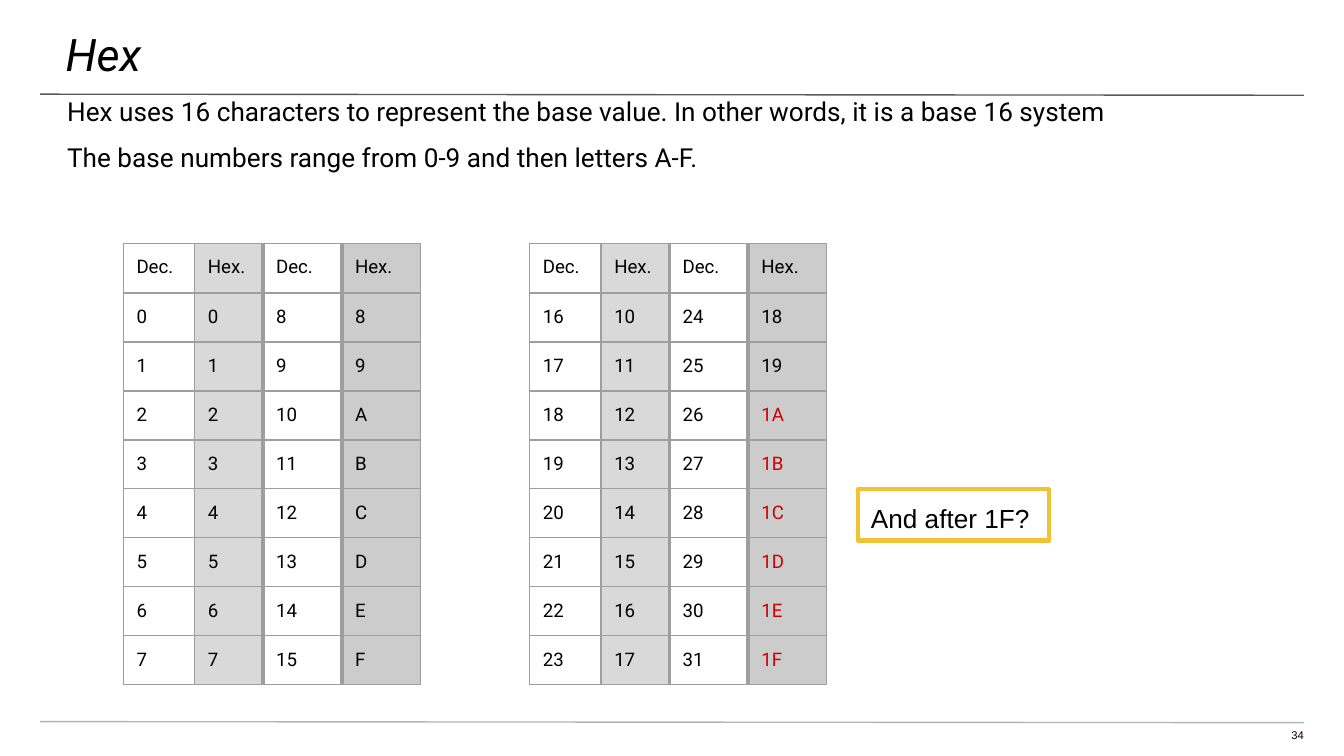
from dataclasses import dataclass

from lxml.etree import SubElement
from pptx import Presentation
from pptx.dml.color import RGBColor
from pptx.enum.shapes import MSO_CONNECTOR, MSO_SHAPE
from pptx.enum.text import MSO_ANCHOR, PP_ALIGN
from pptx.oxml.ns import qn
from pptx.util import Cm, Pt


@dataclass(frozen=True)
class Theme:
    ink: str = "000000"
    red: str = "CC0000"
    gold: str = "F1C232"
    rule: str = "595959"
    foot: str = "A9B7C0"
    grid: str = "9E9E9E"
    fills: tuple = (None, "D9D9D9", None, "CCCCCC")
    sans: str = "Roboto"
    plain: str = "Arial"
    head: int = 24
    body: int = 14
    cell: int = 10
    page: int = 6
    thin: float = 0.75
    thick: float = 2.25


THEME = Theme()
COLS = (1.35, 1.29, 1.49, 1.48)
ROWS = (0.94,) + (0.92,) * 8


def color(code):
    return RGBColor.from_string(code)


def style(para, size, face=THEME.sans, ink=THEME.ink, slant=False):
    for run in para.runs:
        run.font.size = Pt(size)
        run.font.name = face
        run.font.color.rgb = color(ink)
        run.font.italic = slant


def inset(frame, left, top, right, bottom):
    frame.margin_left, frame.margin_top = Cm(left), Cm(top)
    frame.margin_right, frame.margin_bottom = Cm(right), Cm(bottom)


def add_text(slide, area, pads, text, size, **looks):
    box = slide.shapes.add_textbox(*map(Cm, area))
    frame = box.text_frame
    frame.word_wrap = True
    frame.vertical_anchor = MSO_ANCHOR.TOP
    inset(frame, *pads)
    frame.text = text
    for para in frame.paragraphs:
        style(para, size, **looks)
    return frame


def add_rule(slide, top, ink):
    line = slide.shapes.add_connector(
        MSO_CONNECTOR.STRAIGHT, Cm(0.76), Cm(top), Cm(24.64), Cm(top + 0.02))
    line.line.color.rgb = color(ink)
    line.line.width = Pt(THEME.thin)
    SubElement(line._element.spPr, qn("a:effectLst"))


def add_edge(cell, side, width):
    props = cell._tc.get_or_add_tcPr()
    edge = SubElement(props, qn(f"a:ln{side}"), w=str(Pt(width)))
    fill = SubElement(edge, qn("a:solidFill"))
    SubElement(fill, qn("a:srgbClr"), val=THEME.grid)


def fill_cell(cell, col, text, ink):
    left = THEME.thick if col in (2, 3) else THEME.thin
    right = THEME.thick if col in (1, 2) else THEME.thin
    for side, width in zip("LRTB", (left, right, THEME.thin, THEME.thin)):
        add_edge(cell, side, width)
    shade = THEME.fills[col]
    if shade:
        cell.fill.solid()
        cell.fill.fore_color.rgb = color(shade)
    else:
        cell.fill.background()
    inset(cell, 0.25, 0.25, 0.25, 0.25)
    cell.text_frame.text = text
    style(cell.text_frame.paragraphs[0], THEME.cell, ink=ink)


def add_grid(slide, left, start):
    shape = slide.shapes.add_table(
        len(ROWS), len(COLS), Cm(left), Cm(4.6), Cm(sum(COLS)), Cm(sum(ROWS)))
    table = shape.table
    table.first_row = table.horz_banding = False
    for col, width in zip(table.columns, COLS):
        col.width = Cm(width)
    for row, height in zip(table.rows, ROWS):
        row.height = Cm(height)
    for row in range(len(ROWS)):
        for col in range(len(COLS)):
            num = start + row - 1 + 8 * (col // 2)
            text = f"{num:X}" if col % 2 else str(num)
            if row == 0:
                text = "Hex." if col % 2 else "Dec."
            ink = THEME.red if len(text) == 2 and text[1].isalpha() else THEME.ink
            fill_cell(table.cell(row, col), col, text, ink)


def add_note(slide, text):
    box = slide.shapes.add_shape(
        MSO_SHAPE.RECTANGLE, Cm(16.21), Cm(9.25), Cm(3.61), Cm(0.97))
    box.shadow.inherit = False
    box.fill.background()
    box.line.color.rgb = color(THEME.gold)
    box.line.width = Pt(THEME.thick)
    frame = box.text_frame
    frame.word_wrap = True
    frame.vertical_anchor = MSO_ANCHOR.TOP
    inset(frame, 0.25, 0.25, 0.25, 0.25)
    frame.text = text
    frame.paragraphs[0].alignment = PP_ALIGN.LEFT
    style(frame.paragraphs[0], THEME.body, face=THEME.plain)


def main():
    deck = Presentation()
    deck.slide_width, deck.slide_height = Cm(25.4), Cm(14.29)
    slide = deck.slides.add_slide(deck.slide_layouts[6])

    add_rule(slide, 1.78, THEME.rule)
    add_rule(slide, 13.64, THEME.foot)
    add_text(slide, (-0.03, 0, 25.48, 1.47), (1.27, 0.51, 0.76, 0.25),
             "Hex", THEME.head, slant=True)
    page = add_text(slide, (23.9, 13.77, 0.74, 0.3), (0, 0, 0, 0.25),
                    "34", THEME.page, face=THEME.plain)
    page.paragraphs[0].alignment = PP_ALIGN.RIGHT
    body = add_text(
        slide, (0, 2.34, 25.4, 3.07), (1.27, 0, 1.27, 2.54),
        "Hex uses 16 characters to represent the base value. "
        "In other words, it is a base 16 system\n"
        "The base numbers range from 0-9 and then letters A-F.", THEME.body)
    last = body.paragraphs[1]
    last.space_before = last.space_after = Pt(8)

    add_grid(slide, 2.33, 0)
    add_grid(slide, 10.01, 16)
    add_note(slide, "And after 1F?")
    deck.save("out.pptx")


if __name__ == "__main__":
    main()
